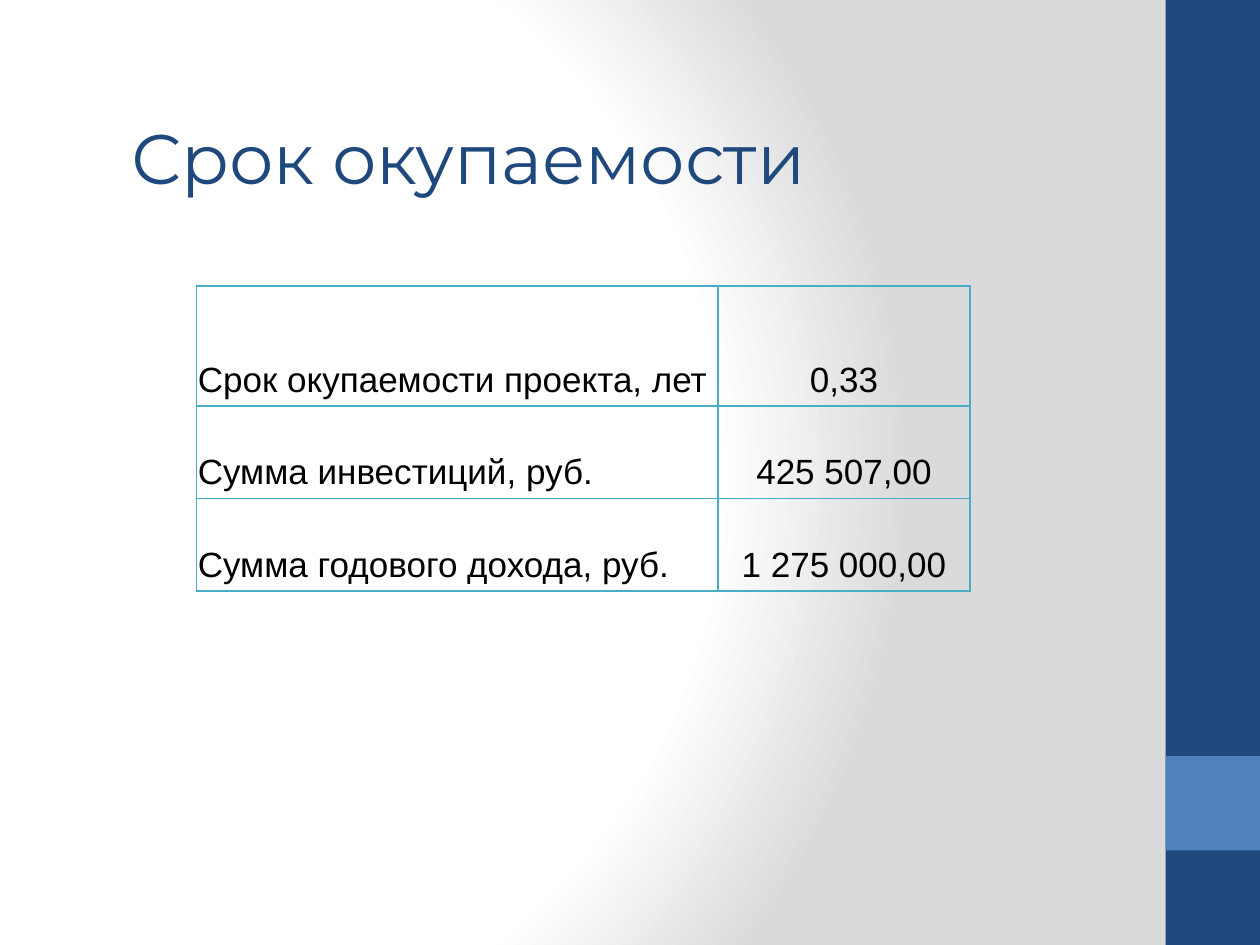
from pptx import Presentation
from pptx.dml.color import RGBColor
from pptx.enum.shapes import MSO_SHAPE
from pptx.enum.text import MSO_ANCHOR, MSO_AUTO_SIZE, PP_ALIGN
from pptx.oxml import parse_xml
from pptx.oxml.ns import nsdecls
from pptx.util import Inches, Pt

RECTANGLE = MSO_SHAPE.RECTANGLE
TOP, BOTTOM = MSO_ANCHOR.TOP, MSO_ANCHOR.BOTTOM
LEFT, CENTER = PP_ALIGN.LEFT, PP_ALIGN.CENTER
FIT_SHAPE = MSO_AUTO_SIZE.SHAPE_TO_FIT_TEXT
TITLE_ONLY = 5

GRID = Inches(0.1)
NAVY, BLUE, TEAL, BLACK = "1F497D", "4F81BD", "4BACC6", "000000"
BACKDROP_STOPS = [(0, "FFFFFF"), (75, "FFFFFF"), (100, "DADADA")]
PAYBACK_ROWS = [
    ("Срок окупаемости проекта, лет", "0,33"),
    ("Сумма инвестиций, руб.", "425 507,00"),
    ("Сумма годового дохода, руб.", "1 275 000,00"),
]
ROW_SHARES = [0.394, 0.303, 0.303]
COLUMN_SHARES = [0.674, 0.326]


def color(value):
    """Turn a hex string into a colour."""
    return RGBColor.from_string(value)


def place(box):
    """Turn a box in grid columns and rows into slide lengths."""
    return [round(units * GRID) for units in box]


def write(frame, text, font, size, ink, align=LEFT):
    """Write one formatted paragraph into a text frame."""
    paragraph = frame.paragraphs[0]
    paragraph.alignment = align
    run = paragraph.add_run()
    run.text = text
    run.font.name = font
    run.font.size = Pt(size)
    run.font.color.rgb = color(ink)


def add_backdrop(slide):
    """Give the slide a circular gradient centred near its left edge."""
    slide.background.fill.solid()
    plain = slide.element.xpath("p:cSld/p:bg/p:bgPr/a:solidFill")[0]
    stops = "".join(
        f'<a:gs pos="{share * 1000}"><a:srgbClr val="{tint}"/></a:gs>'
        for share, tint in BACKDROP_STOPS
    )
    gradient = parse_xml(
        f'<a:gradFill {nsdecls("a")} rotWithShape="1"><a:gsLst>{stops}</a:gsLst>'
        '<a:path path="circle"><a:fillToRect l="10000" t="50000" r="90000" b="50000"/>'
        "</a:path></a:gradFill>"
    )
    plain.getparent().replace(plain, gradient)


def add_side_strip(slide, box):
    """Draw the side strip with a square accent at eight tenths of its height."""
    left, top, width, height = box
    accent = (left, top + 0.8 * height, width, width)
    for part, tint in ((box, NAVY), (accent, BLUE)):
        block = slide.shapes.add_shape(RECTANGLE, *place(part))
        block.shadow.inherit = False
        block.fill.solid()
        block.fill.fore_color.rgb = color(tint)
        block.line.fill.background()


def add_title(slide, box):
    """Place and format the slide title."""
    title = slide.shapes.title
    title.left, title.top, title.width, title.height = place(box)
    frame = title.text_frame
    frame.word_wrap = False
    frame.auto_size = FIT_SHAPE
    frame.vertical_anchor = TOP
    write(frame, "Срок окупаемости", font="Montserrat", size=40, ink=NAVY)


def outline(cell):
    """Draw a thin line on all four sides of a table cell."""
    properties = cell._tc.get_or_add_tcPr()
    for index, side in enumerate(("lnL", "lnR", "lnT", "lnB")):
        properties.insert(index, parse_xml(
            f'<a:{side} {nsdecls("a")} w="{Pt(0.96)}"><a:solidFill>'
            f'<a:srgbClr val="{TEAL}"/></a:solidFill></a:{side}>'
        ))


def add_payback_table(slide, box):
    """Add the table of payback figures."""
    left, top, width, height = place(box)
    table = slide.shapes.add_table(
        len(PAYBACK_ROWS), len(COLUMN_SHARES), left, top, width, height
    ).table
    table.first_row = table.horz_banding = False
    for column, share in zip(table.columns, COLUMN_SHARES):
        column.width = round(width * share)
    for row, share, texts in zip(table.rows, ROW_SHARES, PAYBACK_ROWS):
        row.height = round(height * share)
        for cell, text, align in zip(row.cells, texts, (LEFT, CENTER)):
            cell.fill.background()
            outline(cell)
            cell.vertical_anchor = BOTTOM
            cell.margin_left = cell.margin_right = Inches(0.01)
            write(cell.text_frame, text, font="Arial", size=20, ink=BLACK, align=align)


def main():
    """Build and save the slide."""
    deck = Presentation()
    deck.slide_width, deck.slide_height = place((100, 75))
    slide = deck.slides.add_slide(deck.slide_layouts[TITLE_ONLY])
    add_backdrop(slide)
    add_side_strip(slide, (92.5, 0, 7.5, 75))
    add_title(slide, (9.4, 8.6, 60.3, 7.7))
    add_payback_table(slide, (15.6, 22.7, 61.4, 24.2))
    deck.save("out.pptx")


if __name__ == "__main__":
    main()
